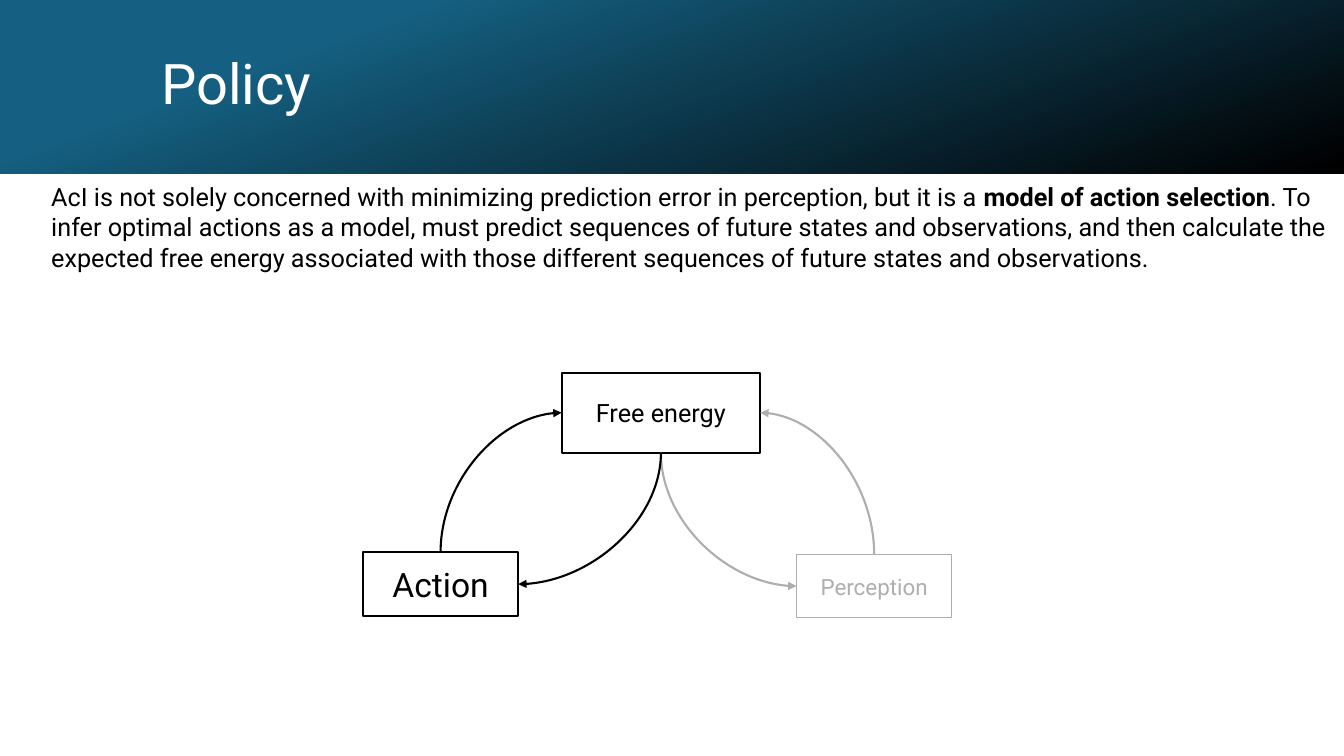
from lxml import etree
from pptx import Presentation
from pptx.dml.color import RGBColor
from pptx.enum.shapes import MSO_CONNECTOR, MSO_SHAPE
from pptx.enum.text import MSO_ANCHOR, PP_ALIGN
from pptx.oxml.ns import qn
from pptx.util import Inches, Pt

RECT = MSO_SHAPE.RECTANGLE
CURVE = MSO_CONNECTOR.CURVE
MIDDLE = MSO_ANCHOR.MIDDLE
TOP = MSO_ANCHOR.TOP
CENTER = PP_ALIGN.CENTER
LEFT = PP_ALIGN.LEFT
BLACK, WHITE, GRAY = "000000", "FFFFFF", "AEAEAE"
WIDE, HIGH, BAND = 13.33, 7.5, 1.72


def color(code):
    return RGBColor.from_string(code)


def write(shape, parts, size, code, anchor, align):
    frame = shape.text_frame
    frame.word_wrap = True
    frame.vertical_anchor = anchor
    para = frame.paragraphs[0]
    para.alignment = align
    for text, bold in parts:
        run = para.add_run()
        run.text = text
        look = {"name": "Roboto", "size": Pt(size), "bold": bold}
        for key, value in look.items():
            setattr(run.font, key, value)
        run.font.color.rgb = color(code)
    return para


def add_rect(slide, box):
    shape = slide.shapes.add_shape(RECT, *map(Inches, box))
    shape.shadow.inherit = False
    return shape


def add_layer(slide, box, turn, flip, angle, stops):
    shape = add_rect(slide, box)
    shape.line.fill.background()
    shape.rotation = turn
    if flip:
        shape._element.spPr.xfrm.set("flipH", "1")
    fill = shape.fill
    fill.gradient()
    fill.gradient_angle = 360 - angle
    marks = shape._element.spPr.iter(qn("a:srgbClr"))
    for stop, (place, code, _) in zip(fill.gradient_stops, stops):
        stop.position = place / 100
        stop.color.rgb = color(code)
    for mark, (_, _, alpha) in zip(list(marks), stops):
        etree.SubElement(mark, qn("a:alpha")).set("val", str(alpha * 1000))


def add_header(slide, left, top, width, height):
    third = width / 3
    upright = (left + (width - height) / 2, top + (height - width) / 2, height, width)
    add_layer(slide, (left, top, width, height), 0, True, 140,
              [(0, BLACK, 96), (100, "104862", 100)])
    add_layer(slide, (left + 2 * third, top, third, height), 180, True, 320,
              [(19, "0B3041", 68), (100, "156082", 79)])
    add_layer(slide, upright, 90, False, 340,
              [(23, "156082", 0), (99, BLACK, 74)])
    title = slide.shapes.add_textbox(
        *map(Inches, (left + 1.5, top + 0.38, 10.98, 0.96)))
    para = write(title, [("Policy", False)], 40, WHITE, MIDDLE, LEFT)
    para.line_spacing = 0.9


def add_body(slide, left, top, width, height):
    body = slide.shapes.add_textbox(*map(Inches, (left, top, width, height)))
    write(body, [
        ("AcI is not solely concerned with minimizing prediction error in "
         "perception, but it is a ", False),
        ("model of action selection", True),
        (". To infer optimal actions as a model, must predict sequences of "
         "future states and observations, and then calculate the expected free "
         "energy associated with those different sequences of future states "
         "and observations.", False),
    ], 18, BLACK, TOP, LEFT)


def add_node(slide, text, box, size, code, weight):
    node = add_rect(slide, box)
    node.fill.background()
    node.line.color.rgb = color(code)
    node.line.width = Pt(weight)
    write(node, [(text, False)], size, code if code == GRAY else BLACK, MIDDLE, CENTER)
    return node


def site(node, side):
    middle = node.left + node.width // 2
    center = node.top + node.height // 2
    return [(middle, node.top), (node.left, center),
            (middle, node.top + node.height),
            (node.left + node.width, center)][side]


def add_arc(slide, start, out, end, into, code):
    x1, y1 = site(start, out)
    x2, y2 = site(end, into)
    arc = slide.shapes.add_connector(CURVE, x1, y1, x2, y2)
    arc.begin_connect(start, out)
    arc.end_connect(end, into)
    dx, dy = x2 - x1, y2 - y1
    right = dx * dy < 0
    arc.width, arc.height = abs(dy), abs(dx)
    arc.left = (x1 + x2 - arc.width) // 2
    arc.top = (y1 + y2 - arc.height) // 2
    arc.rotation = 90 if right else 270
    props = arc._element.spPr
    props.xfrm.set("flipH", str(int((dy < 0) == right)))
    props.xfrm.set("flipV", str(int((dx > 0) == right)))
    props.find(qn("a:prstGeom")).set("prst", "curvedConnector2")
    arc.line.color.rgb = color(code)
    arc.line.width = Pt(1.5)
    etree.SubElement(props.find(qn("a:ln")), qn("a:tailEnd")).set("type", "triangle")
    etree.SubElement(props, qn("a:effectLst"))


def add_cycle(slide, left, top):
    energy = add_node(slide, "Free energy", (left + 1.97, top, 1.97, 0.79),
                      18, BLACK, 1.5)
    action = add_node(slide, "Action", (left, top + 1.78, 1.54, 0.63),
                      24, BLACK, 1.5)
    sense = add_node(slide, "Perception", (left + 4.3, top + 1.8, 1.54, 0.63),
                     16, GRAY, 0.75)
    add_arc(slide, action, 0, energy, 1, BLACK)
    add_arc(slide, sense, 0, energy, 3, GRAY)
    add_arc(slide, energy, 2, sense, 1, GRAY)
    add_arc(slide, energy, 2, action, 3, BLACK)


def main():
    deck = Presentation()
    deck.slide_width, deck.slide_height = Inches(WIDE), Inches(HIGH)
    slide = deck.slides.add_slide(deck.slide_layouts[6])
    add_header(slide, 0, 0, WIDE, BAND)
    add_body(slide, 0.41, 1.75, 12.92, 1.01)
    add_cycle(slide, 3.6, 3.7)
    deck.save("out.pptx")


if __name__ == "__main__":
    main()
